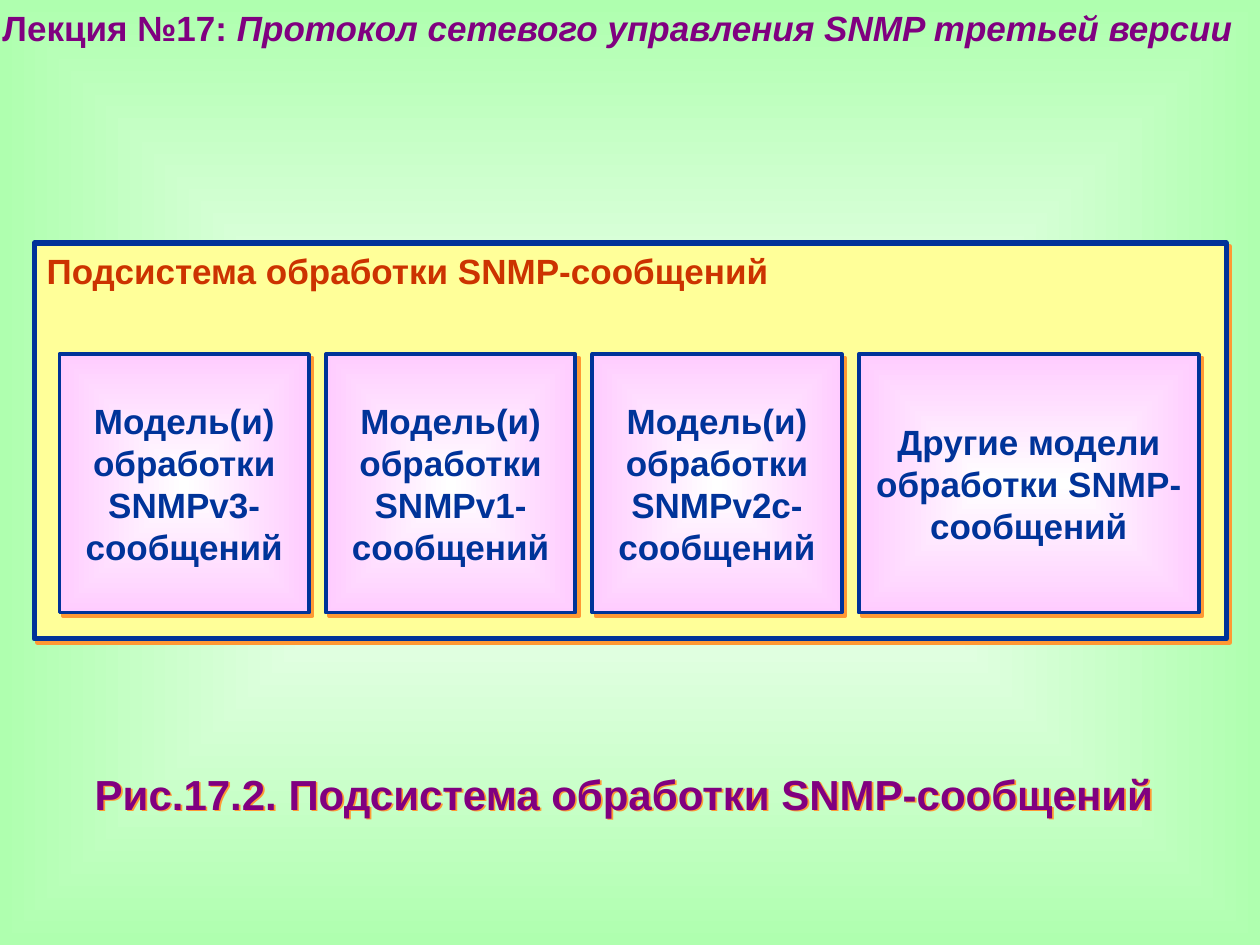
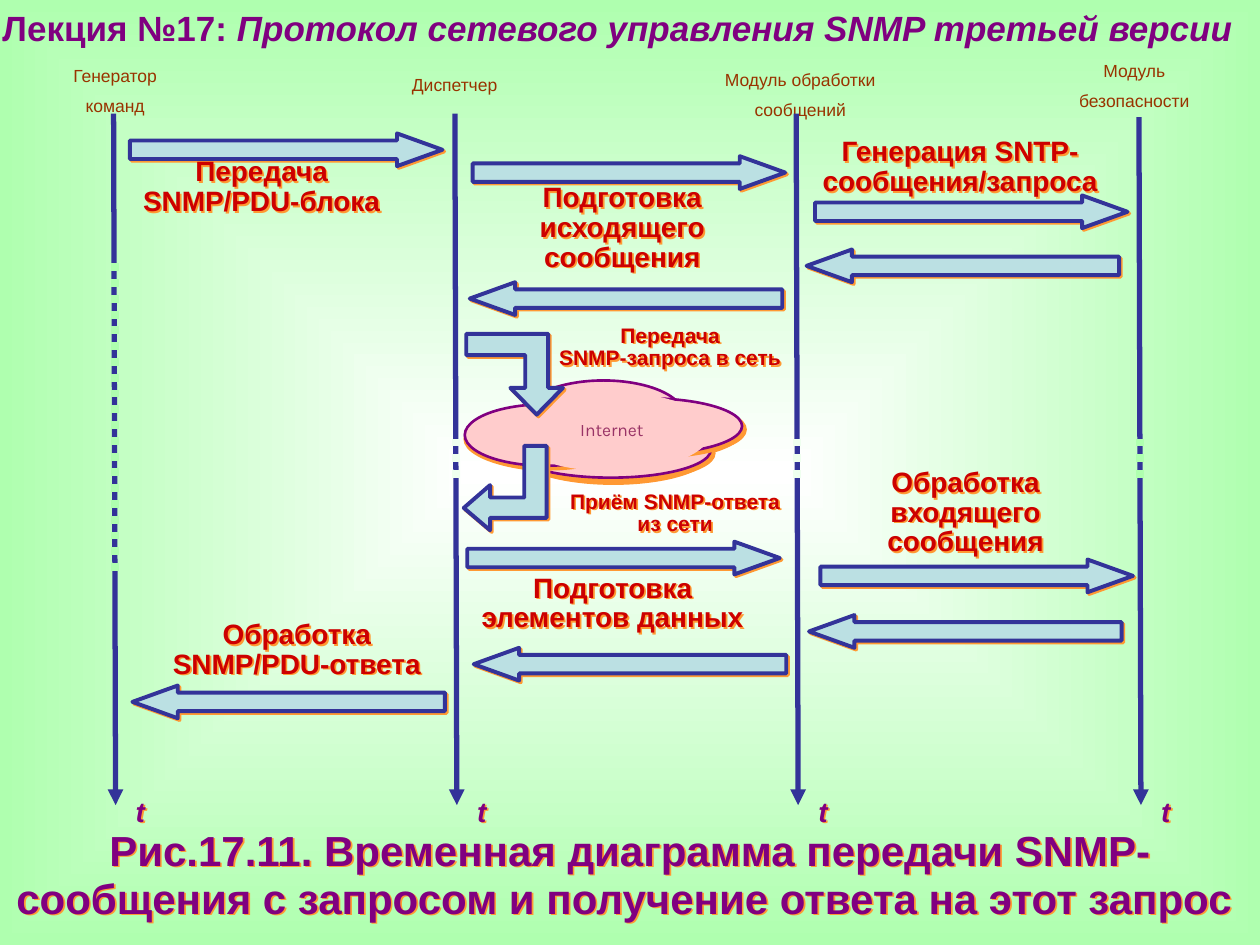
from lxml import etree
from pptx import Presentation
from pptx.dml.color import RGBColor
from pptx.enum.dml import MSO_LINE
from pptx.enum.shapes import MSO_CONNECTOR, MSO_SHAPE
from pptx.enum.text import MSO_ANCHOR, MSO_AUTO_SIZE, PP_ALIGN
from pptx.oxml import parse_xml
from pptx.oxml.ns import nsdecls, qn
from pptx.util import Cm, Pt

TOP, MIDDLE = MSO_ANCHOR.TOP, MSO_ANCHOR.MIDDLE
LEFT, CENTER = PP_ALIGN.LEFT, PP_ALIGN.CENTER
RECTANGLE, ELLIPSE = MSO_SHAPE.RECTANGLE, MSO_SHAPE.OVAL
RIGHT_ARROW, LEFT_ARROW = MSO_SHAPE.RIGHT_ARROW, MSO_SHAPE.LEFT_ARROW
STRAIGHT = MSO_CONNECTOR.STRAIGHT
DOTTED = MSO_LINE.ROUND_DOT
NO_AUTOFIT = MSO_AUTO_SIZE.NONE
TITLE_ONLY = 5

COLORS = {
    "white": "FFFFFF", "green": "AFFFAF", "pale_green": "EFFFEF",
    "purple": "800080", "orange": "FF9933", "navy": "003399",
    "yellow": "FFFF99", "lilac": "FFCCFF", "rust": "CC3300",
    "grey": "969696", "pink": "FFCCCC", "plum": "993366",
    "sky": "BBE0E3", "indigo": "333399", "brown": "993300", "red": "CC0000",
}
SLIDE_WIDTH, SLIDE_HEIGHT = 25.4, 19.05
NO_MARGINS = (0, 0)
HEADER_MARGINS = (0.05, 0.13)
BOX_MARGINS = (0.25, 0.13)
ARROW_WIDTH, ARROW_HEIGHT = 6.3, 0.66
AXIS_BOTTOM, AXIS_SLANT = 16.23, 0.04

MODELS = [
    ("Модель(и) обработки SNMPv3-сообщений", 5.03),
    ("Модель(и) обработки SNMPv1-сообщений", 5.03),
    ("Модель(и) обработки SNMPv2c-сообщений", 5.03),
    ("Другие модели обработки SNMP-сообщений", 6.86),
]
# left, top, width, height, fill, line, shadow
CLOUD_PARTS = [
    (9.37, 8.2, 4.04, 1.3, "grey", "orange", 0),
    (10.41, 8.51, 3.91, 1.24, "orange", "orange", 0),
    (11.18, 8.08, 3.78, 1.19, "grey", "orange", 0),
    (10.54, 7.67, 3.25, 1.42, "pink", "purple", 0),
    (10.29, 8.51, 4.04, 1.12, "pink", "purple", 2.8),
    (9.37, 8.15, 3.25, 1.24, "pink", "purple", 2.8),
    (11.18, 8.03, 3.78, 1.12, "pink", "purple", 2.8),
    (10.29, 7.9, 4.04, 1.6, "pink", None, 0),
]
ARROWS = [
    (RIGHT_ARROW, 2.62, 2.69), (RIGHT_ARROW, 9.53, 3.15),
    (LEFT_ARROW, 9.47, 5.69), (RIGHT_ARROW, 16.43, 3.94),
    (LEFT_ARROW, 16.26, 5.03), (LEFT_ARROW, 16.31, 12.4),
    (LEFT_ARROW, 2.67, 13.82), (RIGHT_ARROW, 9.42, 10.92),
    (RIGHT_ARROW, 16.54, 11.28), (LEFT_ARROW, 9.55, 13.06),
]
TO_NETWORK = [
    (10.82, 8.36), (10.29, 7.82), (10.59, 7.82), (10.59, 7.16), (9.4, 7.16),
    (9.4, 6.73), (11.05, 6.73), (11.05, 7.82), (11.35, 7.82),
]
FROM_NETWORK = [
    (9.35, 10.24), (9.88, 9.78), (9.88, 10.03), (10.57, 10.03), (10.57, 8.99),
    (11.02, 8.99), (11.02, 10.44), (9.88, 10.44), (9.88, 10.69),
]
# name, name box (left, top, width), axis x and top, pause (from, to, colour)
PARTIES = [
    (["Генератор", "команд"], (0.58, 1.19, 3.48), 2.29, 2.29, (5.31, 11.56, "green")),
    (["Диспетчер"], (7.59, 1.37, 3.15), 9.17, 2.29, (8.84, 9.65, "pale_green")),
    (["Модуль обработки", "сообщений"], (13.97, 1.27, 4.32), 16.05, 2.29,
     (8.84, 9.65, "pale_green")),
    (["Модуль", "безопасности"], (20.96, 1.09, 3.81), 22.96, 2.36,
     (8.84, 9.65, "green")),
]
# lines, size, left, top, width, height
STEPS = [
    (["Приём SNMP-ответа из сети"], 12, 11.35, 9.91, 4.52, 0.89),
    (["Подготовка элементов данных"], 16, 9.3, 11.58, 6.1, 1.19),
    (["Обработка входящего сообщения"], 16, 16.81, 9.45, 5.31, 1.8),
    (["Обработка SNMP/PDU-ответа"], 16, 3.1, 12.52, 5.77, 1.19),
    (["Передача", "SNMP/PDU-блока"], 16, 2.62, 3.2, 5.31, 1.17),
    (["Подготовка исходящего сообщения"], 16, 9.27, 3.71, 6.55, 1.8),
    (["Генерация SNTP-сообщения/запроса"], 16, 16.33, 2.79, 6.05, 1.19),
    (["Передача", "SNMP-запроса в сеть"], 12, 11.2, 6.58, 4.62, 0.86),
]


def rgb(name):
    return RGBColor.from_string(COLORS[name])


def centered_gradient(fill, holder, edge):
    """Fill from white in the middle to the edge colour."""
    fill.solid()
    solid = holder.find(".//" + qn("a:solidFill"))
    gradient = parse_xml(
        f'<a:gradFill {nsdecls("a")} rotWithShape="1"><a:gsLst>'
        f'<a:gs pos="0"><a:srgbClr val="{COLORS["white"]}"/></a:gs>'
        f'<a:gs pos="100000"><a:srgbClr val="{COLORS[edge]}"/></a:gs></a:gsLst>'
        '<a:path path="shape"><a:fillToRect l="50000" t="50000" r="50000" b="50000"/>'
        "</a:path></a:gradFill>")
    solid.getparent().replace(solid, gradient)


def set_shadow(shape, distance):
    """Replace the theme shadow by a hard orange one, or by none."""
    shape.shadow.inherit = False
    if distance:
        effects = shape.element.spPr.find(qn("a:effectLst"))
        effects.append(parse_xml(
            f'<a:outerShdw {nsdecls("a")} dist="{Pt(distance)}" dir="2700000" '
            f'algn="ctr" rotWithShape="0"><a:srgbClr val="{COLORS["orange"]}"/>'
            "</a:outerShdw>"))


def style_shape(shape, fill, line, width, shadow):
    shape.fill.solid()
    shape.fill.fore_color.rgb = rgb(fill)
    if line:
        shape.line.color.rgb = rgb(line)
        shape.line.width = Pt(width)
    else:
        shape.line.fill.background()
    set_shadow(shape, shadow)


def add_figure(page, kind, left, top, width, height, fill, line, weight, shadow):
    shape = page.shapes.add_shape(kind, Cm(left), Cm(top), Cm(width), Cm(height))
    style_shape(shape, fill, line, weight, shadow)
    return shape


def set_frame(shape, anchor, margins, wrap=True):
    frame = shape.text_frame
    frame.auto_size = NO_AUTOFIT
    frame.word_wrap = wrap
    frame.vertical_anchor = anchor
    frame.margin_left = frame.margin_right = Cm(margins[0])
    frame.margin_top = frame.margin_bottom = Cm(margins[1])
    return frame


def format_para(para, size, color, align=CENTER, bold=True, italic=False,
                spacing=None, font="Arial"):
    para.alignment = align
    para.line_spacing = spacing
    para.font.name = font
    para.font.size = Pt(size)
    para.font.bold = bold
    para.font.italic = italic
    para.font.color.rgb = rgb(color)


def write(shape, lines, size, color, anchor=MIDDLE, margins=NO_MARGINS,
          wrap=True, gap=0, **style):
    frame = set_frame(shape, anchor, margins, wrap)
    for index, line in enumerate(lines):
        para = frame.add_paragraph() if index else frame.paragraphs[0]
        para.text = line
        para.space_before = Pt(gap)
        format_para(para, size, color, **style)


def add_text(page, lines, size, color, left, top, width, height, shadow=0, **style):
    box = page.shapes.add_textbox(Cm(left), Cm(top), Cm(width), Cm(height))
    if shadow:
        set_shadow(box, shadow)
    write(box, lines, size, color, **style)


def add_line(page, start, end, color, width):
    line = page.shapes.add_connector(STRAIGHT, *map(Cm, start + end))
    line.line.color.rgb = rgb(color)
    line.line.width = Pt(width)
    etree.SubElement(line.element.spPr, qn("a:effectLst"))
    return line


def add_bent_arrow(page, points):
    corners = [(Cm(x), Cm(y)) for x, y in points]
    builder = page.shapes.build_freeform(*corners[0])
    builder.add_line_segments(corners[1:], close=True)
    style_shape(builder.convert_to_shape(), "sky", "indigo", 2.25, 1.4)


def add_page(deck):
    """Add a slide with the lecture header."""
    page = deck.slides.add_slide(deck.slide_layouts[TITLE_ONLY])
    header = page.shapes.title
    header.left, header.top = Cm(0), Cm(0)
    header.width, header.height = Cm(SLIDE_WIDTH), Cm(1.09)
    para = set_frame(header, MIDDLE, HEADER_MARGINS).paragraphs[0]
    format_para(para, 20, "purple", align=LEFT)
    para.add_run().text = "Лекция №17: "
    span = para.add_run()
    span.text = "Протокол сетевого управления SNMP третьей версии"
    span.font.italic = True
    return page


def add_caption(page, text, top, height, spacing):
    add_text(page, [text], 24, "purple", 0, top, SLIDE_WIDTH, height,
             shadow=1.4, spacing=spacing)


def add_cloud(page):
    for left, top, width, height, fill, line, shadow in CLOUD_PARTS:
        add_figure(page, ELLIPSE, left, top, width, height, fill, line, 1.5, shadow)
    add_text(page, ["Internet"], 10, "plum", 10.85, 8.31, 2.97, 0.58, anchor=TOP,
             margins=BOX_MARGINS, wrap=False, bold=False, font="Karla")


def add_party(page, name, name_box, x, top, pause):
    """Add one time axis with its name, its pause and the letter t."""
    left, name_top, width = name_box
    add_text(page, name, 10, "brown", left, name_top, width, 1, anchor=TOP,
             margins=BOX_MARGINS, wrap=False, gap=5, bold=False)
    foot = x + AXIS_SLANT
    axis = add_line(page, (x, top), (foot, AXIS_BOTTOM), "indigo", 3)
    stroke = axis.element.spPr.find(qn("a:ln"))
    etree.SubElement(stroke, qn("a:tailEnd"), type="triangle")
    pause_top, pause_bottom, color = pause
    middle = x + AXIS_SLANT / 2
    dots = add_line(page, (middle, pause_top), (middle, pause_bottom), color, 4.5)
    dots.line.dash_style = DOTTED
    add_text(page, ["t"], 16, "purple", foot, 16.1, 1, 0.58, shadow=1.4,
             anchor=TOP, italic=True, spacing=0.88)


def build_subsystem(deck):
    page = add_page(deck)
    panel = add_figure(page, RECTANGLE, 0.69, 4.9, 24.03, 7.98,
                       "yellow", "navy", 3, 2.8)
    write(panel, ["Подсистема обработки SNMP-сообщений"], 20, "rust",
          anchor=TOP, margins=BOX_MARGINS, align=LEFT)
    left, gap = 1.2, 0.34
    for text, width in MODELS:
        model = add_figure(page, RECTANGLE, left, 7.14, width, 5.21,
                           "lilac", "navy", 2.25, 2.8)
        centered_gradient(model.fill, model.element.spPr, "lilac")
        write(model, [text], 20, "navy")
        left += width + gap
    add_caption(page, "Рис.17.2. Подсистема обработки SNMP-сообщений ", 15.47, 1.17, 0.9)


def build_timing(deck):
    page = add_page(deck)
    add_caption(page, "Рис.17.11. Временная диаграмма передачи SNMP-сообщения "
                "с запросом и получение ответа на этот запрос ", 16.69, 1.93, 0.95)
    add_cloud(page)
    for kind, left, top in ARROWS:
        arrow = add_figure(page, kind, left, top, ARROW_WIDTH, ARROW_HEIGHT,
                           "sky", "indigo", 2.25, 1.4)
        arrow.adjustments[0] = 0.566
        arrow.adjustments[1] = 1.387
    add_bent_arrow(page, TO_NETWORK)
    for party in PARTIES:
        add_party(page, *party)
    for lines, size, *place in STEPS:
        add_text(page, lines, size, "red", *place, shadow=1.4, spacing=0.88)
    add_bent_arrow(page, FROM_NETWORK)


def main():
    deck = Presentation()
    deck.slide_width, deck.slide_height = Cm(SLIDE_WIDTH), Cm(SLIDE_HEIGHT)
    master = deck.slide_master
    centered_gradient(master.background.fill, master.element.cSld, "green")
    build_subsystem(deck)
    build_timing(deck)
    deck.save("out.pptx")


if __name__ == "__main__":
    main()
